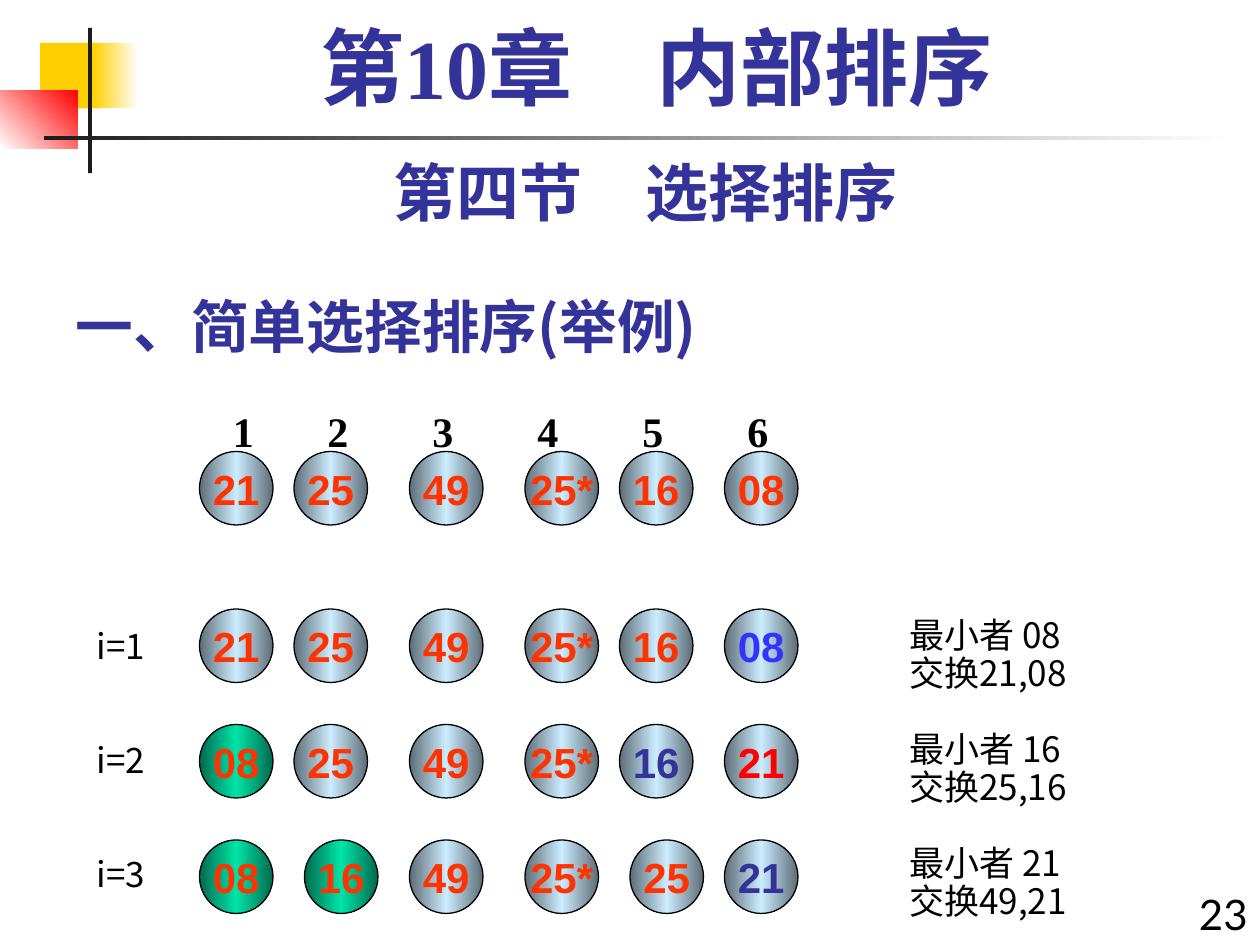
from lxml.etree import SubElement
from pptx import Presentation
from pptx.dml.color import RGBColor
from pptx.enum.shapes import MSO_SHAPE
from pptx.enum.text import MSO_ANCHOR, PP_ALIGN
from pptx.oxml.ns import qn
from pptx.util import Pt

# Content
HEAD = "一、简单选择排序(举例)"
BANNER = "第10章\u3000内部排序".replace("\u3000", "　")
PART = "第四节　选择排序"
PAGE = "23"
INDEX = ["1", "2", "3", "4", "5", "6"]
STEPS = ["i=1", "i=2", "i=3"]
NOTES = [("最小者 08", "交换21,08"), ("最小者 16", "交换25,16"),
         ("最小者 21", "交换49,21")]

# Rows of keys: top, keys, number sorted, special key colours, shifts by column
ROWS = [
    (258, ["21", "25", "49", "25*", "16", "08"], 0, {}, {}),
    (348, ["21", "25", "49", "25*", "16", "08"], 0, {5: "3333FF"}, {}),
    (414, ["08", "25", "49", "25*", "16", "21"], 1,
     {4: "333399", 5: "FF0000"}, {}),
    (480, ["08", "16", "49", "25*", "25", "21"], 2,
     {5: "333399"}, {1: 6, 4: 6}),
]
COLS = [114, 168, 234, 300, 354, 414]
SIZE = 42
LINE = 21.7

# Colours and fonts
NAVY, BLACK, KEY = "333399", "000000", "FF3300"
STEEL = ["5E6D76", "CCECFF", "5E6D76"]
GREEN = ["006A4E", "00E4A8", "006A4E"]
CJK, ROMAN, SANS = "Noto Sans CJK SC", "Times New Roman", "Lato"

# Decoration: left, top, width, height, colours, clockwise angle
DECOR = [
    (23, 24.5, 34.5, 37.5, ["FFCF01"], 0),
    (53, 24.5, 26, 37.5, ["FFCF01", "FFFFFF"], 0),
    (0, 51.5, 44.5, 33.5, ["FFFFFF", "FF0000"], 315),
    (50.3, 16, 2.3, 83, ["1C1C1C"], 0),
    (25, 77.7, 680, 2.5, ["1C1C1C", "FFFFFF"], 0),
]


def tint(color, code):
    color.rgb = RGBColor.from_string(code)


def paint(shape, codes, angle=0):
    if len(codes) == 1:
        shape.fill.solid()
        tint(shape.fill.fore_color, codes[0])
        return
    shape.fill.gradient()
    shape.fill.gradient_angle = -angle % 360
    stops = shape._element.spPr.find(qn("a:gradFill")).find(qn("a:gsLst"))
    for stop in list(stops):
        stops.remove(stop)
    for i, code in enumerate(codes):
        pos = 100000 * i // (len(codes) - 1)
        stop = SubElement(stops, qn("a:gs"), pos=str(pos))
        SubElement(stop, qn("a:srgbClr"), val=code)


def draw(shapes, kind, box, codes, angle=0):
    shape = shapes.add_shape(kind, *map(Pt, box))
    shape.shadow.inherit = False
    paint(shape, codes, angle)
    shape.line.fill.background()
    return shape


def style(para, size, face, code, bold=False, align=PP_ALIGN.LEFT):
    para.alignment = align
    font = para.font
    font.size, font.name, font.bold = Pt(size), face, bold
    tint(font.color, code)
    SubElement(font._element, qn("a:ea"), typeface=CJK)


def write(shapes, box, lines, *look, **more):
    frame = shapes.add_textbox(*map(Pt, box)).text_frame
    frame.word_wrap = True
    frame.text = "\n".join(lines)
    for para in frame.paragraphs:
        style(para, *look, **more)
    return frame


def stops(para, places):
    tabs = SubElement(para._p.get_or_add_pPr(), qn("a:tabLst"))
    for place in places:
        SubElement(tabs, qn("a:tab"), pos=str(Pt(place)), algn="l")


def ball(shapes, left, top, key, code, codes):
    shape = draw(shapes, MSO_SHAPE.OVAL, (left, top, SIZE, SIZE), codes)
    shape.line.width = Pt(0.75)
    tint(shape.line.color, BLACK)
    frame = shape.text_frame
    frame.word_wrap = False
    frame.vertical_anchor = MSO_ANCHOR.MIDDLE
    frame.text = key
    style(frame.paragraphs[0], 24, "Arial", code, True, PP_ALIGN.CENTER)


def main():
    deck = Presentation()
    deck.slide_width, deck.slide_height = Pt(720), Pt(540)
    slide = deck.slides.add_slide(deck.slide_layouts[5])
    shapes = slide.shapes

    # Corner decoration
    for *box, codes, angle in DECOR:
        draw(shapes, MSO_SHAPE.RECTANGLE, box, codes, angle)

    # Headings and page number
    title = shapes.title
    title.left, title.top, title.width, title.height = map(
        Pt, (36, 156, 450, 53.5))
    title.text_frame.text = HEAD
    title.text_frame.vertical_anchor = MSO_ANCHOR.BOTTOM
    style(title.text_frame.paragraphs[0], 33, CJK, NAVY, True)
    write(shapes, (672, 504, 48, 42), [PAGE], 24, SANS, BLACK,
          align=PP_ALIGN.RIGHT)
    write(shapes, (36, 84, 666, 50.5), [PART], 36, SANS, NAVY, True,
          PP_ALIGN.CENTER)
    banner = write(shapes, (48, 12, 654, 60), [BANNER], 48, ROMAN, NAVY, True,
                   PP_ALIGN.CENTER)
    banner.paragraphs[0].line_spacing = 0.9

    # Position numbers on tab stops
    frame = shapes.add_textbox(*map(Pt, (126, 228, 345, 36))).text_frame
    frame.word_wrap = True
    para = frame.paragraphs[0]
    stops(para, [54 + 60 * i for i in range(5)])
    para.text = "\t".join(INDEX)
    style(para, 24, ROMAN, BLACK, True)

    # Rows of keys
    for top, keys, done, marks, shifts in ROWS:
        group = shapes.add_group_shape().shapes
        for i, (left, key) in enumerate(zip(COLS, keys)):
            ball(group, left + shifts.get(i, 0), top, key,
                 marks.get(i, KEY), GREEN if i < done else STEEL)

    # Step labels and remarks share one line pitch
    remarks = [line for pair in NOTES for line in pair]
    for box, lines, every, gap in [
        ((512.5, 349.5, 125, 180), remarks, 2, 1),
        ((48, 355.5, 46, 158), STEPS, 1, 2),
    ]:
        frame = write(shapes, box, lines, 20, CJK, BLACK)
        for i, para in enumerate(frame.paragraphs):
            para.line_spacing = Pt(LINE)
            if i and i % every == 0:
                para.space_before = Pt(LINE * gap)

    deck.save("out.pptx")


if __name__ == "__main__":
    main()
